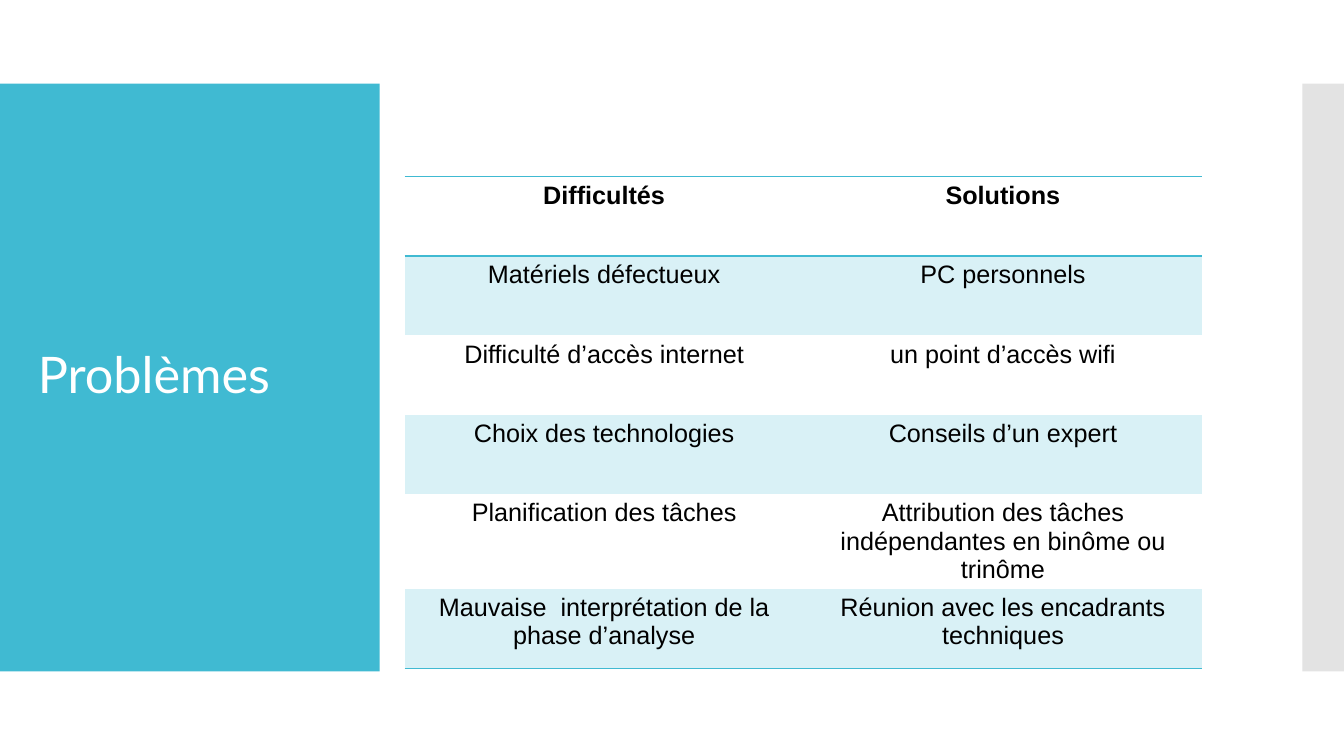
from pptx import Presentation
from pptx import util as u
from pptx.dml import color
from pptx.enum import shapes, text
from pptx.oxml import ns
from lxml import etree

TEAL, PALE_TEAL, GREY = "40BAD2", "D9F1F6", "E3E3E3"
WHITE, BLACK = "FFFFFF", "000000"
ROWS = [
    ("Difficultés", "Solutions"),
    ("Matériels défectueux", "PC personnels"),
    ("Difficulté d’accès internet", "un point d’accès wifi"),
    ("Choix des technologies", "Conseils d’un expert"),
    ("Planification des tâches",
     "Attribution des tâches indépendantes en binôme ou trinôme"),
    ("Mauvaise  interprétation de la phase d’analyse",
     "Réunion avec les encadrants techniques"),
]


def rgb(value):
    """Turn a hex string into a colour."""
    return color.RGBColor.from_string(value)


def write(frame, wording, font, size, ink, bold=False,
          align=text.PP_ALIGN.LEFT, spacing=1.0):
    """Put one formatted paragraph into a text frame."""
    frame.word_wrap = True
    paragraph = frame.paragraphs[0]
    paragraph.alignment, paragraph.line_spacing = align, spacing
    run = paragraph.add_run()
    run.text = wording
    run.font.name, run.font.size, run.font.bold = font, u.Pt(size), bold
    run.font.color.rgb = rgb(ink)


def add_band(slide, box, fill):
    """Draw a plain rectangle filling the box."""
    band = slide.shapes.add_shape(shapes.MSO_SHAPE.RECTANGLE,
                                  *map(u.Cm, box))
    band.shadow.inherit = False
    band.fill.solid()
    band.fill.fore_color.rgb = rgb(fill)
    band.line.fill.background()


def add_title_panel(slide, box, wording):
    """Draw the coloured panel with the slide title inside its margins."""
    add_band(slide, box, TEAL)
    left, top, width, height = box
    title = slide.shapes.title
    title.left, title.top = u.Cm(left + 0.7), u.Cm(top + 1)
    title.width, title.height = u.Cm(width - 1.4), u.Cm(height - 2)
    frame = title.text_frame
    frame.auto_size = text.MSO_AUTO_SIZE.NONE
    frame.vertical_anchor = text.MSO_ANCHOR.MIDDLE
    write(frame, wording, "Lato", 36, WHITE, spacing=0.9)
    slide.shapes._spTree.append(title._element)


def set_borders(cell, ruled_sides):
    """Rule the named sides (T, B) in teal and clear the other sides."""
    properties = cell._tc.get_or_add_tcPr()
    for index, side in enumerate("LRTB"):
        line = etree.Element(ns.qn("a:ln" + side), w=str(u.Pt(1)))
        if side in ruled_sides:
            fill = etree.SubElement(line, ns.qn("a:solidFill"))
            etree.SubElement(fill, ns.qn("a:srgbClr"), val=TEAL)
        else:
            etree.SubElement(line, ns.qn("a:noFill"))
        properties.insert(index, line)


def add_problem_table(slide, box, rows):
    """Lay out the table: ruled header, then alternating shaded rows."""
    table = slide.shapes.add_table(len(rows), len(rows[0]),
                                   *map(u.Cm, box)).table
    table.first_row = table.horz_banding = False
    last = len(rows) - 1
    for index, wordings in enumerate(rows):
        # A header rule is shared with the row below it.
        ruled_sides = {0: "TB", 1: "T", last: "B"}.get(index, "")
        for column, wording in enumerate(wordings):
            cell = table.cell(index, column)
            if index % 2:
                cell.fill.solid()
                cell.fill.fore_color.rgb = rgb(PALE_TEAL)
            else:
                cell.fill.background()
            set_borders(cell, ruled_sides)
            write(cell.text_frame, wording, "Arial", 18, BLACK,
                  bold=index == 0, align=text.PP_ALIGN.CENTER)


def build_problem_slide(presentation):
    """Add the slide with its title panel, side band and table."""
    slide = presentation.slides.add_slide(presentation.slide_layouts[5])
    add_band(slide, (32.82, 2.11, 1.05, 14.81), GREY)
    add_title_panel(slide, (0, 2.11, 9.57, 14.81), "Problèmes")
    add_problem_table(slide, (10.2, 4.45, 20.1, 12), ROWS)


presentation = Presentation()
presentation.slide_width, presentation.slide_height = u.Cm(33.87), u.Cm(19.05)
build_problem_slide(presentation)
presentation.save("out.pptx")
